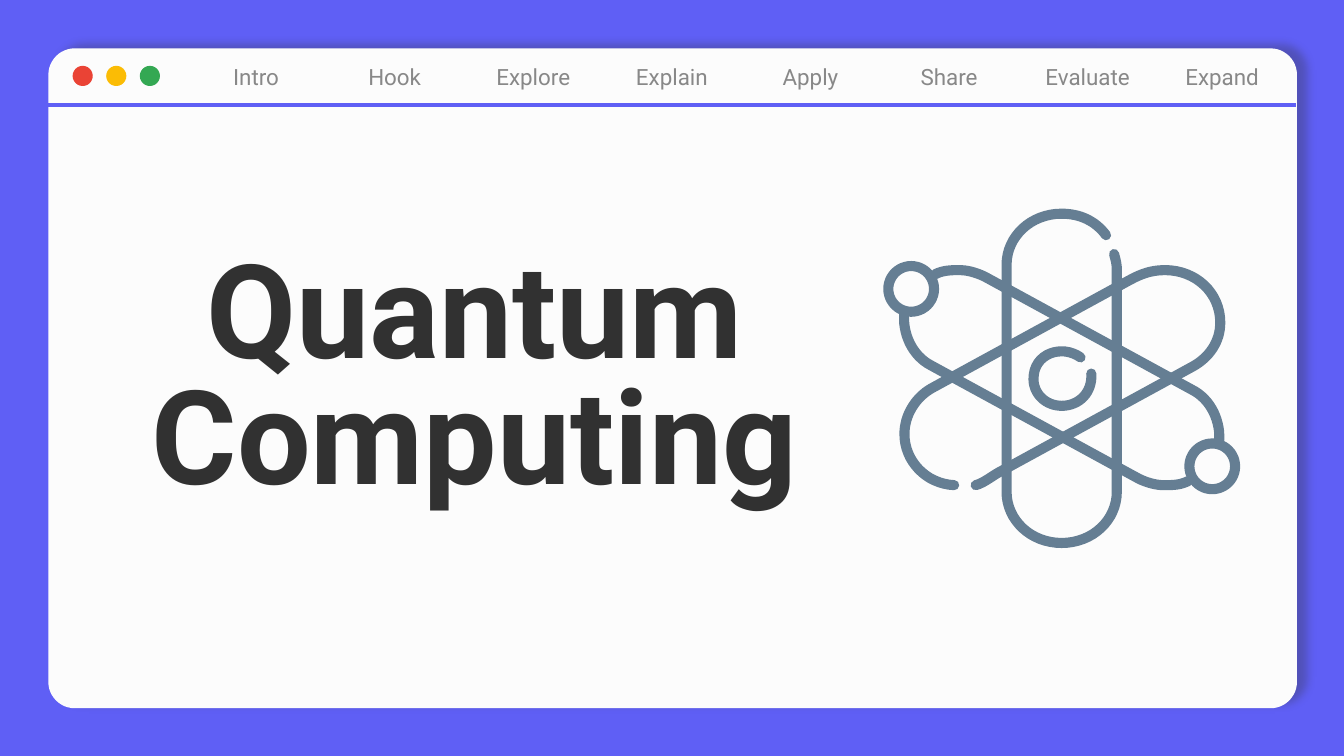
from pptx import Presentation
from pptx.dml.color import RGBColor
from pptx.enum.shapes import MSO_CONNECTOR, MSO_SHAPE
from pptx.enum.text import MSO_ANCHOR, MSO_AUTO_SIZE, PP_ALIGN
from pptx.oxml import parse_xml
from pptx.oxml.ns import nsdecls
from pptx.util import Inches, Pt

COLORS = {"frame": "5F5FF5", "card": "FCFCFC", "ink": "313131", "tab": "888888",
          "red": "EA4335", "yellow": "FBBC05", "green": "34A853", "atom": "657E93"}
TITLE = "Quantum Computing"
TABS = ["Intro", "Hook", "Explore", "Explain", "Apply", "Share", "Evaluate", "Expand"]
BUTTONS = ["red", "yellow", "green"]
CARD_LEFT, CARD_TOP, CARD_WIDTH, CARD_HEIGHT = 0.36, 0.36, 9.29, 4.91
TABS_LEFT, TABS_RIGHT, BAR_HEIGHT = 1.39, 9.64, 0.42
BUTTON_LEFT, BUTTON_TOP, BUTTON_SIZE, BUTTON_STEP = 0.54, 0.49, 0.15, 0.25
ATOM_CENTER = (7.9, 2.81)
STROKE = 5.4

TAB_FONT = {"name": "Roboto", "size": Pt(12)}
TITLE_FONT = {"name": "Roboto", "size": Pt(70), "bold": True}
TAB_FRAME = {"margin_left": 0, "margin_right": 0, "margin_top": 0, "margin_bottom": 0,
             "vertical_anchor": MSO_ANCHOR.MIDDLE, "word_wrap": True}
TITLE_FRAME = {"margin_left": Inches(0.1), "margin_right": Inches(0.1),
               "margin_top": Inches(0.1), "margin_bottom": Inches(0.1),
               "vertical_anchor": MSO_ANCHOR.BOTTOM, "word_wrap": True,
               "auto_size": MSO_AUTO_SIZE.NONE}

UPRIGHT_ORBIT = [(8.23, 1.75), (8.15, 1.64, 8.03, 1.59, 7.9, 1.59),
                 (7.67, 1.59, 7.49, 1.76, 7.49, 1.97), (7.49, 3.66),
                 (7.49, 3.87, 7.67, 4.04, 7.9, 4.04),
                 (8.13, 4.04, 8.31, 3.87, 8.31, 3.66), (8.31, 2.0),
                 (8.31, 1.96, 8.3, 1.93, 8.29, 1.89)]
RISING_ORBIT = [(7.1, 3.61), (6.89, 3.6, 6.73, 3.43, 6.73, 3.23),
                (6.73, 3.09, 6.81, 2.96, 6.93, 2.89), (8.34, 2.12),
                (8.45, 2.06, 8.53, 2.01, 8.67, 2.01),
                (8.9, 2.01, 9.08, 2.18, 9.08, 2.4),
                (9.08, 2.54, 9.0, 2.66, 8.87, 2.73), (7.46, 3.5),
                (7.38, 3.54, 7.33, 3.59, 7.26, 3.61)]
FALLING_HALF = [(6.96, 2.04), (7.02, 2.01, 7.08, 2.01, 7.14, 2.01),
                (7.2, 2.01, 7.27, 2.03, 7.33, 2.06), (8.87, 2.9),
                (9.01, 2.97, 9.09, 3.14, 9.07, 3.3)]
NUCLEUS = [(8.04, 2.66), (7.9, 2.56, 7.69, 2.63, 7.69, 2.82),
           (7.69, 2.93, 7.78, 3.02, 7.9, 3.02),
           (8.03, 3.02, 8.13, 2.92, 8.12, 2.78)]
ELECTRON_CENTER, ELECTRON_RADIUS = (6.78, 2.15), 0.17


def color(name):
    return RGBColor.from_string(COLORS[name])


def apply(target, values):
    for name, value in values.items():
        setattr(target, name, value)


def add_shape(slide, kind, left, top, width, height, fill=None):
    shape = slide.shapes.add_shape(kind, *map(Inches, (left, top, width, height)))
    shape.shadow.inherit = False
    shape.line.fill.background()
    if fill:
        shape.fill.solid()
        shape.fill.fore_color.rgb = color(fill)
    else:
        shape.fill.background()
    return shape


def write(shape, text, frame_values, font_values, font_color):
    frame = shape.text_frame
    apply(frame, frame_values)
    paragraph = frame.paragraphs[0]
    paragraph.alignment = PP_ALIGN.CENTER
    run = paragraph.add_run()
    run.text = text
    apply(run.font, font_values)
    run.font.color.rgb = color(font_color)
    return paragraph


def stroke(shape):
    shape.shadow.inherit = False
    shape.fill.background()
    shape.line.color.rgb = color("atom")
    shape.line.width = Pt(STROKE)
    shape._element.spPr.get_or_add_ln().set("cap", "rnd")


def reflect(point):
    return tuple(2 * ATOM_CENTER[index % 2] - value for index, value in enumerate(point))


def trace(path, steps=16):
    points = [path[0]]
    for part in path[1:]:
        if len(part) == 2:
            points.append(part)
            continue
        start, first, second, end = points[-1], part[:2], part[2:4], part[4:]
        for step in range(1, steps + 1):
            t = step / steps
            points.append(tuple(
                (1 - t) ** 3 * a + 3 * t * (1 - t) ** 2 * b + 3 * t * t * (1 - t) * c + t ** 3 * d
                for a, b, c, d in zip(start, first, second, end)))
    return [(Inches(x), Inches(y)) for x, y in points]


def add_curves(slide, paths):
    contours = [trace(path) for path in paths]
    builder = slide.shapes.build_freeform(*contours[0][0])
    for index, contour in enumerate(contours):
        if index:
            builder.move_to(*contour[0])
        builder.add_line_segments(contour[1:], close=False)
    stroke(builder.convert_to_shape())


def add_window(slide):
    card = add_shape(slide, MSO_SHAPE.ROUNDED_RECTANGLE, CARD_LEFT, CARD_TOP,
                     CARD_WIDTH, CARD_HEIGHT, "card")
    card.adjustments[0] = 0.04
    effects = card._element.spPr.find("{*}effectLst")
    effects.append(parse_xml(
        f'<a:outerShdw {nsdecls("a")} blurRad="{Pt(4.5)}" dist="{Pt(6)}" dir="{342 * 60000}" '
        f'algn="bl" rotWithShape="0"><a:srgbClr val="{COLORS["ink"]}">'
        '<a:alpha val="30000"/></a:srgbClr></a:outerShdw>'))
    tab_width = (TABS_RIGHT - TABS_LEFT) / len(TABS)
    for index, label in enumerate(TABS):
        last = index == len(TABS) - 1
        kind = MSO_SHAPE.ROUND_1_RECTANGLE if last else MSO_SHAPE.ROUNDED_RECTANGLE
        tab = add_shape(slide, kind, TABS_LEFT + index * tab_width, CARD_TOP,
                        tab_width, BAR_HEIGHT)
        tab.adjustments[0] = 0.5 if last else 0.06
        write(tab, label, TAB_FRAME, TAB_FONT, "tab")
    for index, name in enumerate(BUTTONS):
        add_shape(slide, MSO_SHAPE.OVAL, BUTTON_LEFT + index * BUTTON_STEP, BUTTON_TOP,
                  BUTTON_SIZE, BUTTON_SIZE, name)
    bar_bottom = Inches(CARD_TOP + BAR_HEIGHT)
    divider = slide.shapes.add_connector(MSO_CONNECTOR.STRAIGHT, Inches(CARD_LEFT), bar_bottom,
                                         Inches(TABS_RIGHT), bar_bottom)
    divider.line.color.rgb = color("frame")
    divider.line.width = Pt(2.25)
    divider._element.spPr.append(parse_xml(f'<a:effectLst {nsdecls("a")}/>'))


def add_title(slide):
    title = slide.shapes.title
    apply(title, {"left": Inches(-0.45), "top": Inches(1.73),
                  "width": Inches(7.96), "height": Inches(2.16)})
    write(title, TITLE, TITLE_FRAME, TITLE_FONT, "ink").line_spacing = 0.8
    slide.shapes._spTree.append(title._element)


def add_atom(slide):
    add_curves(slide, [NUCLEUS])
    add_curves(slide, [UPRIGHT_ORBIT, RISING_ORBIT, FALLING_HALF,
                       [reflect(part) for part in FALLING_HALF]])
    for x, y in (ELECTRON_CENTER, reflect(ELECTRON_CENTER)):
        stroke(add_shape(slide, MSO_SHAPE.OVAL, x - ELECTRON_RADIUS, y - ELECTRON_RADIUS,
                         2 * ELECTRON_RADIUS, 2 * ELECTRON_RADIUS))


def main():
    """Build the title slide with its window frame, tabs and atom."""
    presentation = Presentation()
    presentation.slide_width = Inches(10)
    presentation.slide_height = Inches(10 * 9 / 16)
    slide = presentation.slides.add_slide(presentation.slide_layouts[5])
    slide.background.fill.solid()
    slide.background.fill.fore_color.rgb = color("frame")
    add_window(slide)
    add_title(slide)
    add_atom(slide)
    presentation.save("out.pptx")


if __name__ == "__main__":
    main()
